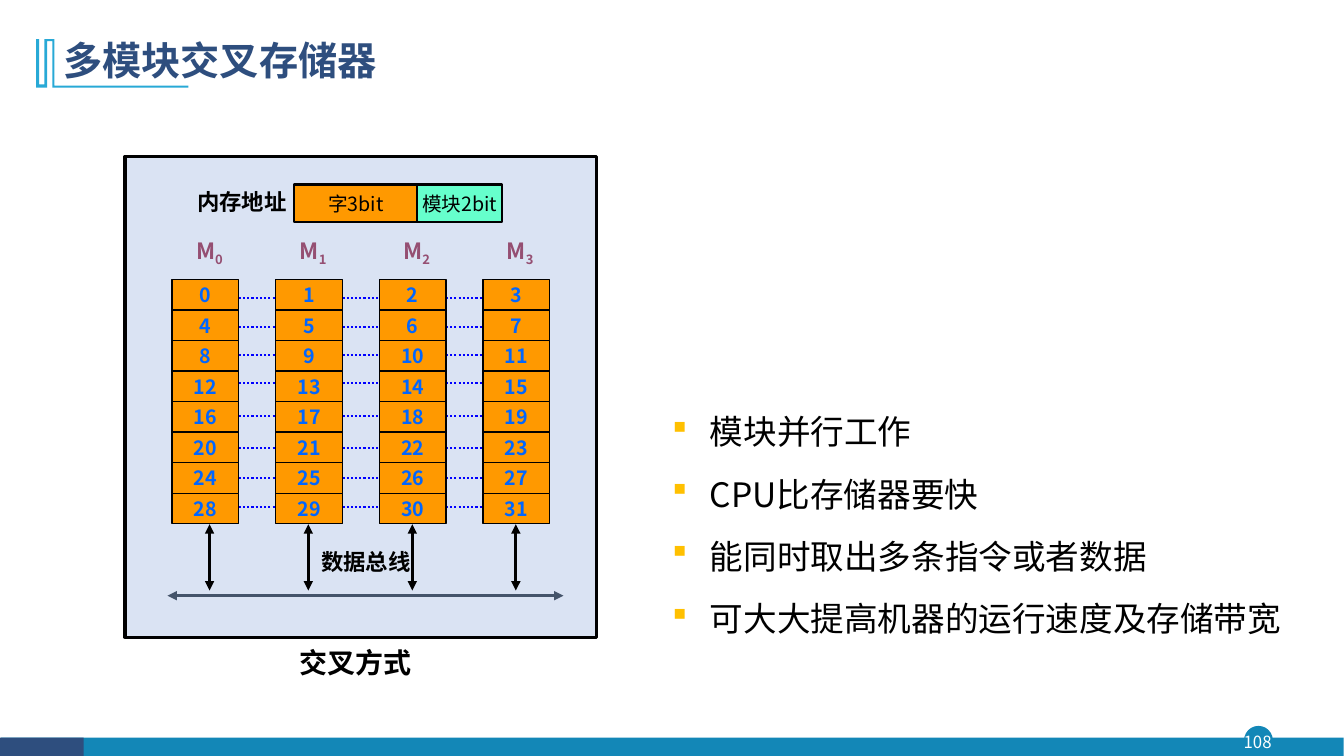
from lxml import etree
from pptx import Presentation, util as u
from pptx.dml.color import RGBColor
from pptx.enum import dml, shapes, text
from pptx.oxml.ns import qn

MID = text.PP_ALIGN.CENTER


def tint(code):
    return RGBColor.from_string(code)


def put(item, vals):
    for name, val in vals.items():
        setattr(item, name, val)


def add(base, tag, **vals):
    return etree.SubElement(base, qn(tag), vals)


class Pen:
    font = "Noto Sans CJK SC"
    ink = "000000"

    def __init__(self, slide):
        self.slide = slide
        self.items = slide.shapes

    def run(self, para, words, size, color, bold=False, base=None):
        run = para.add_run()
        run.text = words
        put(run.font, {"size": u.Pt(size), "bold": bold, "name": self.font})
        run.font.color.rgb = tint(color)
        props = run.font._element
        add(props, "a:ea", typeface=self.font)
        if base:
            props.set("baseline", str(base))

    def paint(self, item, fill, edge=None, width=1):
        item.shadow.inherit = False
        item.fill.solid()
        item.fill.fore_color.rgb = tint(fill)
        if edge:
            item.line.color.rgb = tint(edge)
            item.line.width = u.Pt(width)
        else:
            item.line.fill.background()

    def box(self, at, fill, edge=None, width=1, words=None, size=14,
            color=ink, bold=False, kind=shapes.MSO_SHAPE.RECTANGLE):
        item = self.items.add_shape(kind, *map(u.Cm, at))
        self.paint(item, fill, edge, width)
        if words:
            frame = item.text_frame
            put(frame, {"word_wrap": False,
                        "vertical_anchor": text.MSO_ANCHOR.MIDDLE})
            frame.paragraphs[0].alignment = MID
            self.run(frame.paragraphs[0], words, size, color, bold)

    def label(self, at, words, size, color=ink, bold=True, sub=None,
              frame=None, para=None):
        """Add a text box; frame and para hold format values."""
        item = self.items.add_textbox(*map(u.Cm, at)).text_frame
        put(item, {"word_wrap": True, **(frame or {})})
        first = item.paragraphs[0]
        put(first, {"alignment": MID, **(para or {})})
        self.run(first, words, size, color, bold)
        if sub:
            self.run(first, sub, size, color, bold, -25000)

    def line(self, ends, color, width, dash=None, heads=False):
        item = self.items.add_connector(
            shapes.MSO_CONNECTOR.STRAIGHT, *map(u.Cm, ends))
        item.line.color.rgb = tint(color)
        put(item.line, {"width": u.Pt(width), "dash_style": dash})
        if heads:
            edge = item.line._get_or_add_ln()
            add(edge, "a:headEnd", type="triangle")
            add(edge, "a:tailEnd", type="triangle")
        add(item._element.spPr, "a:effectLst")

    def form(self, dots, fill):
        dots = [(u.Cm(x), u.Cm(y)) for x, y in dots]
        path = self.items.build_freeform(*dots[0])
        path.add_line_segments(dots[1:], close=True)
        self.paint(path.convert_to_shape(), fill)

    def list(self, at, rows, size, mark):
        frame = self.items.add_textbox(*map(u.Cm, at)).text_frame
        frame.word_wrap = True
        for i, words in enumerate(rows):
            para = frame.add_paragraph() if i else frame.paragraphs[0]
            props = para._p.get_or_add_pPr()
            props.set("marL", str(u.Cm(0.95)))
            props.set("indent", str(u.Cm(-0.95)))
            add(add(props, "a:buClr"), "a:srgbClr", val=mark)
            add(props, "a:buFont", typeface="Wingdings")
            add(props, "a:buChar", char="§")
            put(para, {"line_spacing": 1.2,
                       "space_before": u.Pt(10 if i else 0)})
            self.run(para, words, size, self.ink)


def frame(pen):
    """Draw the footer, the page number and the title."""
    pen.box((31.37, 18.31, 0.69, 0.69), "1387B7", "1387B7",
            kind=shapes.MSO_SHAPE.OVAL)
    pen.box((0.03, 18.59, 33.83, 0.48), "1387B7")
    pen.box((0, 18.59, 2.11, 0.48), "2E4E7E")
    middle = {"vertical_anchor": text.MSO_ANCHOR.MIDDLE}
    sides = ("left", "right", "top", "bottom")
    tight = {f"margin_{side}": 0 for side in sides}
    pen.label((31.29, 18.31, 0.81, 0.79), "108", 12, "FFFFFF", False,
              frame={**middle, **tight})
    pen.form([(1.37, 0.99), (1.37, 2.16), (4.75, 2.16), (4.75, 2.21),
              (1.32, 2.21), (1.32, 1.04), (1.19, 1.04), (1.19, 2.21),
              (0.91, 2.21), (0.91, 0.99), (0.99, 0.99), (0.99, 2.13),
              (1.12, 2.13), (1.12, 0.99)], "28A9D6")
    pen.label((1.35, 0.71, 29.21, 1.73), "多模块交叉存储器", 28, "2E4E7E",
              frame=middle,
              para={"alignment": text.PP_ALIGN.LEFT, "line_spacing": 0.9})


def memory(pen):
    """Draw four interleaved modules on a data bus."""
    ink, gold = pen.ink, "FF9900"
    left, top, wide, high, step = 4.34, 7.04, 1.68, 0.77, 2.61
    pen.box((3.15, 3.94, 11.89, 12.12), "DAE3F3", ink, 2.25)
    pen.label((4.55, 4.62, 3.1, 0.94), "内存地址", 16)
    pen.box((10.52, 4.65, 2.13, 0.94), "66FFCC", ink, 1.5, "模块2bit")
    pen.box((7.42, 4.65, 3.1, 0.94), gold, ink, 1.5, "字3bit")
    for col, x in enumerate((5.28, 7.77, 10.39, 13)):
        pen.label((4.57 + col * step, 5.84, 1.42, 0.94), "M", 16,
                  "954F72", sub=str(col))
        pen.line((x, 13.21, x, 14.88), ink, 2.25, heads=True)
    pen.line((4.22, 15.01, 14.2, 15.01), "44546A", 2.25, heads=True)
    pen.label((7.67, 13.69, 3.1, 0.94), "数据总线", 16)
    pen.label((6.83, 16.13, 4.27, 1.12), "交叉方式", 20)
    links = (7.52, 8.23, 8.94, 9.65, 10.49, 11.28, 12.04, 12.78)
    for row, y in enumerate(links):
        for col in range(4):
            x = left + col * step
            if col < 3:
                pen.line((x + wide, y, x + step, y), "0000FF", 1.5,
                         dml.MSO_LINE.ROUND_DOT)
            pen.box((x, top + row * high, wide, high), gold, ink, 1,
                    str(row * 4 + col), 14, "0066FF", True)


def main():
    deck = Presentation()
    put(deck, {"slide_width": u.Cm(33.87), "slide_height": u.Cm(19.05)})
    pen = Pen(deck.slides.add_slide(deck.slide_layouts[6]))
    frame(pen)
    memory(pen)
    pen.list((16.69, 10.03, 16.69, 8.64),
             ("模块并行工作", "CPU比存储器要快", "能同时取出多条指令或者数据",
              "可大大提高机器的运行速度及存储带宽"), 24, "FFC000")
    deck.save("out.pptx")


if __name__ == "__main__":
    main()
